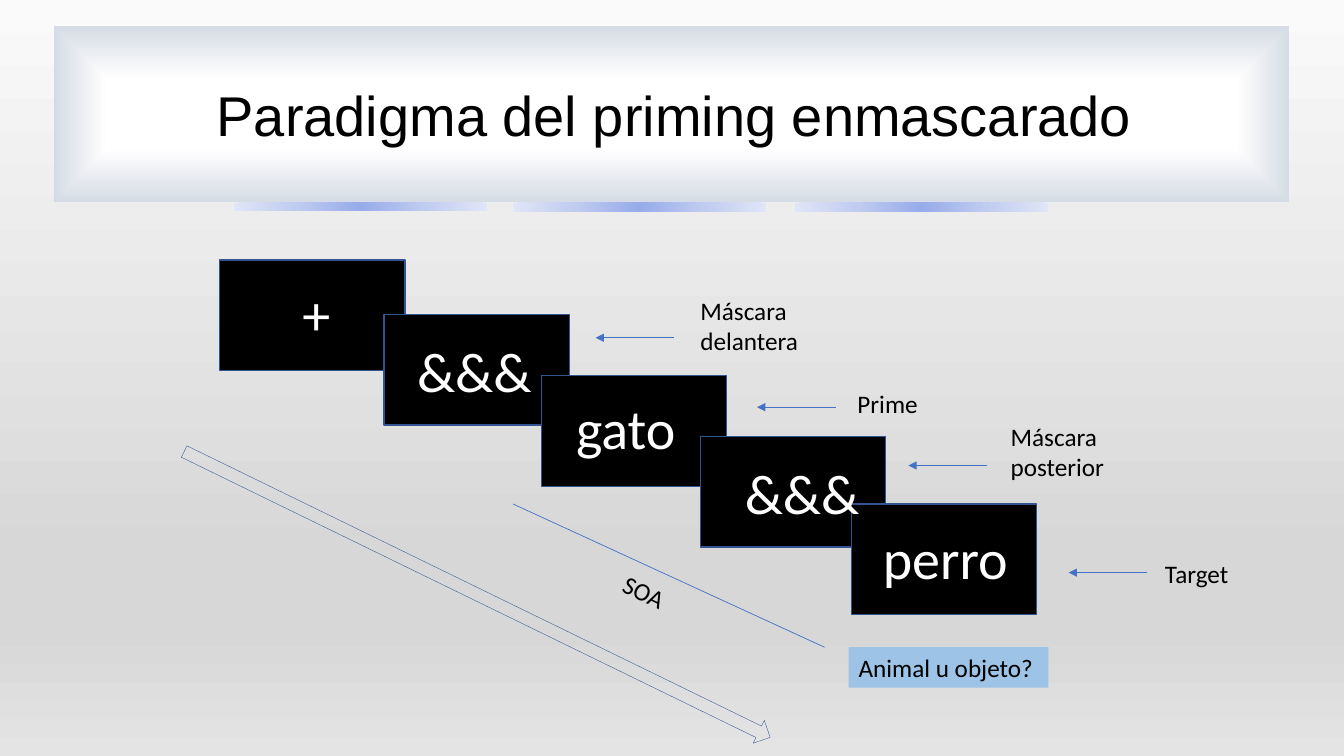
from lxml import etree
from pptx import Presentation
from pptx import util as u
from pptx.dml.color import RGBColor
from pptx.enum import shapes, text
from pptx.oxml import parse_xml
from pptx.oxml.ns import qn

NS = "http://schemas.openxmlformats.org/drawingml/2006/main"


class Theme:
    black, white = "000000", "FFFFFF"
    edge, line, blue = "325491", "4472C4", "9DC3E6"
    back = [(0, "FAFAFA"), (74, "D7D7D7"), (83, "D7D7D7"), (100, "E4E4E4")]
    panel = [(39, "FFFFFF"), (100, "D6DCE5"), (100, "B4C7E7")]
    bar = [(0, "96ABEA"), (50, "C0CBF0"), (100, "E0E5F7")]
    head, body = "Arial", "Calibri"
    big, small = 40, 18


def cm(*vals):
    return [u.Cm(v) for v in vals]


def blend(owner, stops, path=None):
    """Swap the first solid fill in owner for a gradient, linear unless path is set."""
    gs = "".join(f'<a:gs pos="{pos * 1000}"><a:srgbClr val="{tone}"/></a:gs>'
                 for pos, tone in stops)
    mid = 'l="50000" t="50000" r="50000" b="50000"'
    way = (f'<a:path path="{path}"><a:fillToRect {mid}/></a:path>' if path
           else '<a:lin ang="5400000" scaled="0"/>')
    old = next(owner.element.iter(qn("a:solidFill")))
    old.getparent().replace(old, parse_xml(
        f'<a:gradFill xmlns:a="{NS}" rotWithShape="1"><a:gsLst>{gs}</a:gsLst>{way}</a:gradFill>'))


def write(shape, words, font=Theme.body, size=Theme.small, tone=Theme.black):
    frame = shape.text_frame
    frame.word_wrap = True
    frame.auto_size = text.MSO_AUTO_SIZE.SHAPE_TO_FIT_TEXT
    par = frame.paragraphs[0]
    par.alignment = text.PP_ALIGN.LEFT
    run = par.add_run()
    run.text = words
    run.font.name, run.font.size = font, u.Pt(size)
    run.font.color.rgb = RGBColor.from_string(tone)


class Deck:
    """Holds the theme and the current slide, and draws each kind of element."""

    def __init__(self, theme):
        self.theme = theme
        self.prs = Presentation()
        self.prs.slide_width, self.prs.slide_height = cm(33.87, 19.05)
        self.slide = self.prs.slides.add_slide(self.prs.slide_layouts[6])
        self.slide.background.fill.solid()
        self.slide.background.fill.fore_color.rgb = RGBColor.from_string(theme.white)
        blend(self.slide, theme.back)

    def shape(self, *box, kind=shapes.MSO_SHAPE.RECTANGLE, fill=None, edge=None,
              width=1, turn=0):
        item = self.slide.shapes.add_shape(kind, *cm(*box))
        item.shadow.inherit = False
        item.rotation = turn
        if fill:
            item.fill.solid()
            item.fill.fore_color.rgb = RGBColor.from_string(fill)
        else:
            item.fill.background()
        if edge:
            item.line.color.rgb = RGBColor.from_string(edge)
            item.line.width = u.Pt(width)
        else:
            item.line.fill.background()
        return item

    def glow(self, *box, stops, path):
        blend(self.shape(*box, fill=self.theme.white), stops, path)

    def label(self, words, *box, turn=0, **form):
        item = self.slide.shapes.add_textbox(*cm(*box))
        item.rotation = turn
        write(item, words, **form)

    def line(self, *ends, tip=False):
        item = self.slide.shapes.add_connector(shapes.MSO_CONNECTOR.STRAIGHT, *cm(*ends))
        item.line.color.rgb = RGBColor.from_string(self.theme.line)
        item.line.width = u.Pt(0.5)
        if tip:
            etree.SubElement(item.line._get_or_add_ln(), qn("a:tailEnd"), type="triangle")
        etree.SubElement(item.element.spPr, qn("a:effectLst"))


def main():
    look = Theme()
    deck = Deck(look)

    deck.glow(1.37, 0.66, 31.12, 4.42, stops=look.panel, path="rect")
    for left, high in [(5.89, 0.2), (12.93, 0.23), (20.04, 0.23)]:
        deck.glow(left, 5.11, 6.38, high, stops=look.bar, path="circle")
    deck.label("Paradigma del priming enmascarado", 5.21, 1.9, 23.95, 2.74,
               font=look.head, size=look.big)
    deck.slide.shapes[-1].text_frame.vertical_anchor = text.MSO_ANCHOR.TOP

    cards = [(5.54, 6.55), (9.68, 7.92), (13.64, 9.47), (17.65, 11), (21.46, 12.7)]
    for left, top in cards:
        deck.shape(left, top, 4.67, 2.79, fill=look.black, edge=look.edge)
    deck.shape(3.81, 14.66, 16.43, 0.64, kind=shapes.MSO_SHAPE.RIGHT_ARROW,
               edge=look.edge, width=0.25, turn=26)

    words = [("+", 7.37, 6.93, 1.65), ("&&&", 10.26, 8.36, 4.55),
             ("gato", 14.27, 9.78, 4.55), ("&&&", 18.52, 11.43, 4.55),
             ("perro", 22, 13.08, 4.55)]
    for word, left, top, wide in words:
        deck.label(word, left, top, wide, 1.96, size=look.big, tone=look.white)

    for right, y in [(16.99, 8.51), (21.06, 10.26), (24.87, 11.73), (28.91, 14.43)]:
        deck.line(right, y, right - 1.98, y, tip=True)
    notes = [("Máscara delantera", 17.4, 7.32, 4.06, 1.8),
             ("Prime", 21.36, 9.65, 4.06, 1.02),
             ("Máscara posterior", 25.22, 10.49, 4.06, 1.8),
             ("Target", 29.11, 13.94, 3.38, 1.02)]
    for note in notes:
        deck.label(*note)

    write(deck.shape(21.39, 16.31, 5.03, 1.02, fill=look.blue), "Animal u objeto?")
    deck.line(12.93, 12.7, 20.78, 16.31)
    deck.label("SOA", 15.42, 14.53, 2.16, 1.02, turn=25.8)

    deck.prs.save("out.pptx")


if __name__ == "__main__":
    main()
